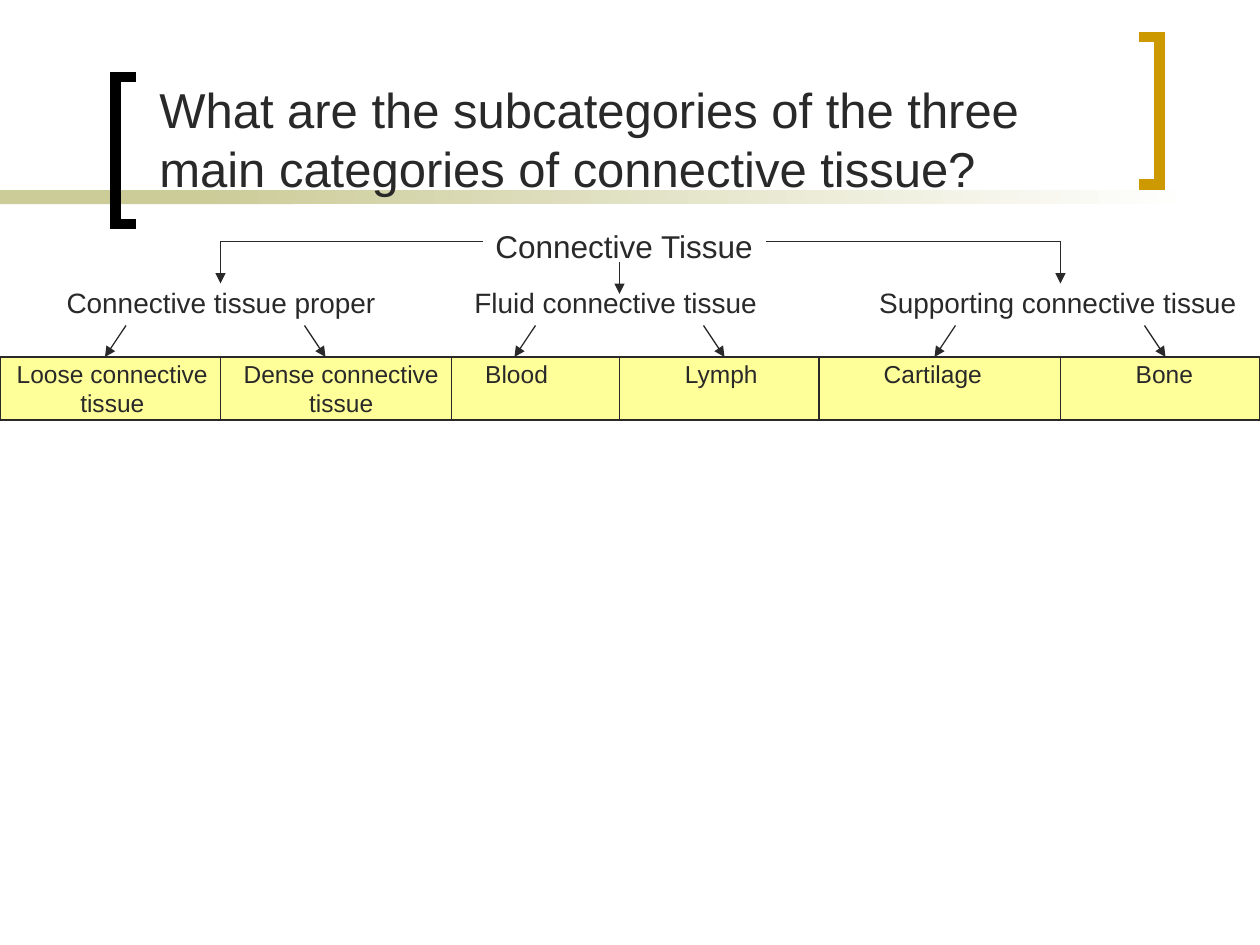
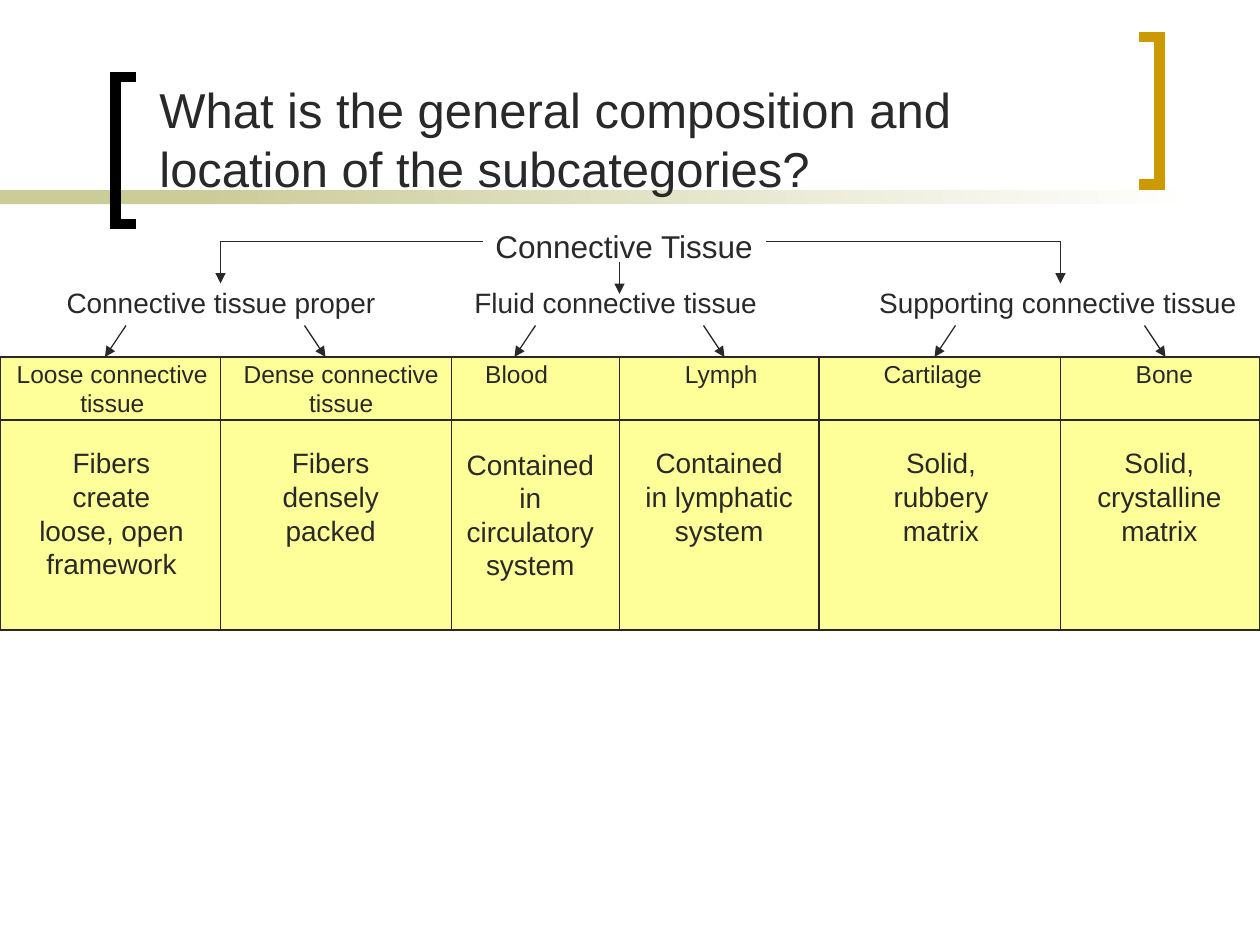
import pptx
import pptx.util
import pptx.dml.color
import pptx.enum.shapes
import pptx.enum.text
import pptx.oxml
import pptx.oxml.ns

COLOURS = {
    "ink": "292929", "cell": "FFFF99", "band": "CCCC99",
    "paper": "FFFFFF", "left bracket": "000000", "right bracket": "CC9900",
}
COLUMNS, ROWS = 120, 90  # twelve grid units to the inch
DIVIDERS = (21, 43, 59, 78, 101)
HEAD_TOP, HEAD_BOTTOM, BODY_BOTTOM = 34, 40, 60

# Groups: text, left, width, wraps
GROUPS = (
    ("Connective tissue proper", 5.16, 32, False),
    ("Fluid connective tissue", 44, 30, True),
    ("Supporting connective tissue", 82.56, 37, False),
)
# Subcategories: lines, left, width, start and end column of the arrow above
SUBCATEGORIES = (
    (("Loose connective", "tissue"), 0.2, 21, 12, 10),
    (("Dense connective", "tissue"), 21.9, 21.2, 29, 31),
    (("Blood",), 44.8, 8.8, 51, 49),
    (("Lymph",), 63.8, 9.8, 67, 69),
    (("Cartilage",), 82.75, 12.2, 91, 89),
    (("Bone",), 106.7, 8.4, 109, 111),
)
# Compositions: text, left, top, width
COMPOSITIONS = (
    ("Fibers create loose, open framework", 2.04, 41.88, 17.16),
    ("Fibers densely packed", 22, 41.88, 19),
    ("Contained in circulatory system", 43, 42, 15),
    ("Contained in lymphatic system", 60, 41.88, 17),
    ("Solid, rubbery matrix", 82, 41.88, 15.24),
    ("Solid, crystalline matrix", 102.8, 41.88, 15.24),
)


def colour(name):
    return pptx.dml.color.RGBColor.from_string(COLOURS[name])


def assign(target, values):
    for name, value in values.items():
        setattr(target, name, value)


class TissueDeck:
    """Holds the shared style and the page being drawn."""

    def __init__(self):
        self.deck = pptx.Presentation()
        assign(self.deck, {"slide_width": pptx.util.Inches(10),
                           "slide_height": pptx.util.Inches(7.5)})
        self.page = None

    def x(self, column):
        return round(self.deck.slide_width * column / COLUMNS)

    def y(self, row):
        return round(self.deck.slide_height * row / ROWS)

    def outline(self, line, name="ink", points=0.75):
        line.color.rgb = colour(name)
        line.width = pptx.util.Pt(points)

    def rectangle(self, left, top, width, height, fill, lined=False, fade=None):
        kind = pptx.enum.shapes.MSO_SHAPE.RECTANGLE
        shape = self.page.shapes.add_shape(
            kind, self.x(left), self.y(top), self.x(width), self.y(height))
        shape.shadow.inherit = False
        if fade:
            shape.fill.gradient()
            shape.fill.gradient_angle = 0
            for stop, name, place in zip(shape.fill.gradient_stops, (fill, fade), (0, 1)):
                stop.color.rgb = colour(name)
                stop.position = place
        else:
            shape.fill.solid()
            shape.fill.fore_color.rgb = colour(fill)
        if lined:
            self.outline(shape.line)
        else:
            shape.line.fill.background()

    def bracket(self, tip, spine, top, bottom, name):
        points = [(self.x(column), self.y(row)) for column, row in
                  ((tip, top), (spine, top), (spine, bottom), (tip, bottom))]
        builder = self.page.shapes.build_freeform(*points[0])
        builder.add_line_segments(points[1:], close=False)
        shape = builder.convert_to_shape()
        shape.shadow.inherit = False
        shape.fill.background()
        self.outline(shape.line, name, 6)
        miter = pptx.oxml.parse_xml(
            f'<a:miter {pptx.oxml.ns.nsdecls("a")} lim="800000"/>')
        shape.line._get_or_add_ln().append(miter)

    def line(self, start, end, arrow=False):
        kind = pptx.enum.shapes.MSO_CONNECTOR.STRAIGHT
        connector = self.page.shapes.add_connector(
            kind, self.x(start[0]), self.y(start[1]), self.x(end[0]), self.y(end[1]))
        self.outline(connector.line)
        namespace = pptx.oxml.ns.nsdecls("a")
        if arrow:
            connector.line._get_or_add_ln().append(
                pptx.oxml.parse_xml(f'<a:tailEnd {namespace} type="triangle"/>'))
        connector._element.spPr.append(
            pptx.oxml.parse_xml(f"<a:effectLst {namespace}/>"))

    def text(self, lines, left, top, width, height, size, centred=False, wrap=True):
        box = self.page.shapes.add_textbox(
            self.x(left), self.y(top), self.x(width), self.y(height))
        assign(box.text_frame, {
            "word_wrap": wrap,
            "auto_size": pptx.enum.text.MSO_AUTO_SIZE.SHAPE_TO_FIT_TEXT})
        align = pptx.enum.text.PP_ALIGN
        for number, words in enumerate(lines):
            para = box.text_frame.add_paragraph() if number else box.text_frame.paragraphs[0]
            assign(para, {"alignment": align.CENTER if centred else align.LEFT,
                          "line_spacing": pptx.util.Pt(1.2 * size)})
            span = para.add_run()
            span.text = words
            assign(span.font, {"name": "Arial", "size": pptx.util.Pt(size)})
            span.font.color.rgb = colour("ink")

    def new_page(self):
        self.page = self.deck.slides.add_slide(self.deck.slide_layouts[6])
        self.rectangle(0, 18.12, 28, 1.32, "band")
        self.rectangle(19, 18.12, 95, 1.32, "band", fade="paper")
        self.bracket(13, 11, 7.32, 21.36, "left bracket")
        self.bracket(108.5, 110.45, 3.55, 17.6, "right bracket")

    def title(self, words):
        self.text([words], 14, 7, 94, 12.48, 28)

    def cells(self, top, bottom):
        self.rectangle(0, top, COLUMNS, bottom - top, "cell", lined=True)
        for column in DIVIDERS:
            self.line((column, top), (column, bottom))

    def tree(self):
        # Header row of the cells
        self.cells(HEAD_TOP, HEAD_BOTTOM)
        self.line((0, HEAD_BOTTOM), (COLUMNS, HEAD_BOTTOM))
        # Root and its three groups
        for words, left, width, wrap in GROUPS:
            self.text([words], left, 26.64, width, 4.44, 16, wrap=wrap)
        self.text(["Connective Tissue"], 46, 21, 27, 4.8, 18, wrap=False)
        self.line((59, 25), (59, 28), arrow=True)
        for inner, outer in ((46, 21), (73, 101)):
            self.line((inner, 23), (outer, 23))
            self.line((outer, 23), (outer, 27), arrow=True)
        # Subcategories and the arrows that lead to them
        for lines, left, width, start, end in SUBCATEGORIES:
            self.text(lines, left, 33.6, width, 1.2 + 2.82 * len(lines), 14,
                      centred=True, wrap=False)
            self.line((start, 31), (end, HEAD_TOP), arrow=True)


def main():
    tissue = TissueDeck()

    # Slide 1: the subcategories
    tissue.new_page()
    tissue.tree()
    tissue.title("What are the subcategories of the three main categories of connective tissue?")

    # Slide 2: composition and location
    tissue.new_page()
    tissue.cells(HEAD_BOTTOM, BODY_BOTTOM)
    tissue.tree()
    tissue.title("What is the general composition and location of the subcategories?")
    for words, left, top, width in COMPOSITIONS:
        tissue.text([words], left, top, width, 10.8, 16, centred=True)

    tissue.deck.save("out.pptx")


if __name__ == "__main__":
    main()
